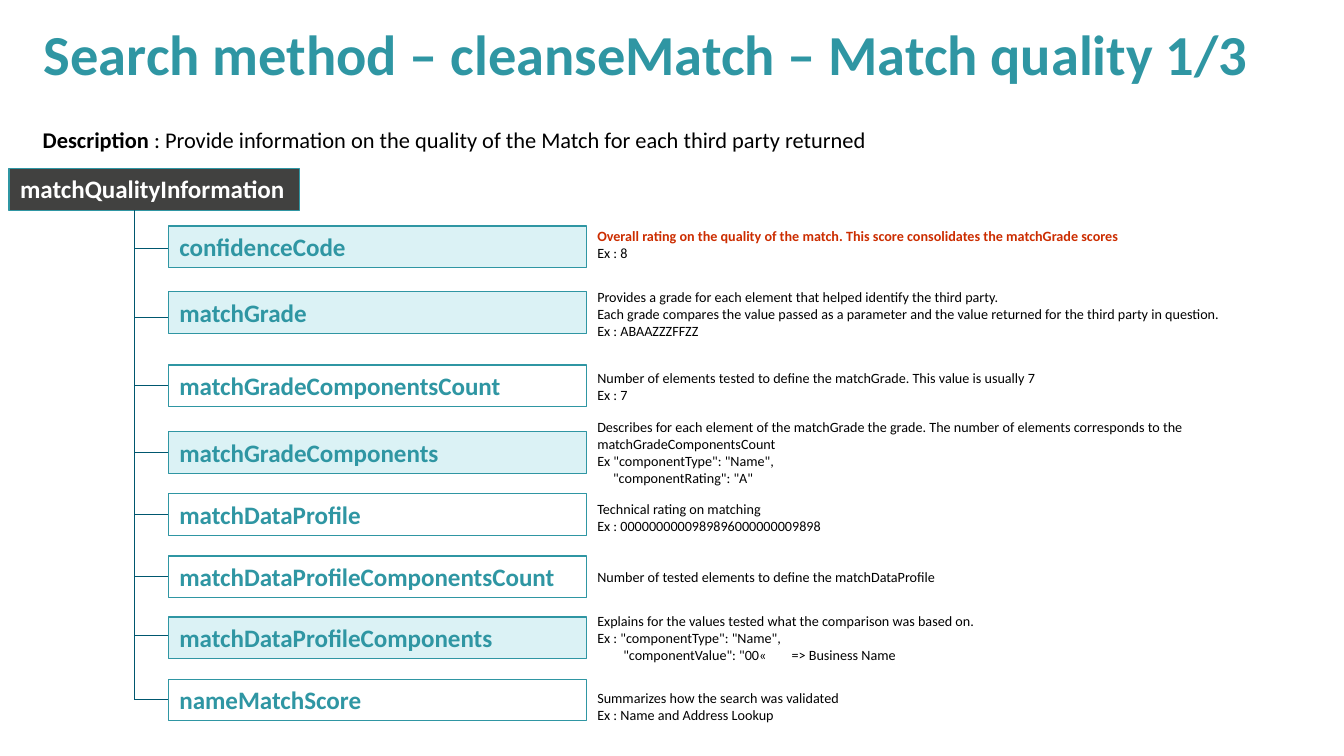
from lxml.etree import SubElement
from pptx import Presentation
from pptx.dml.color import RGBColor
from pptx.enum.shapes import MSO_CONNECTOR, MSO_SHAPE
from pptx.enum.text import MSO_ANCHOR, MSO_AUTO_SIZE, PP_ALIGN
from pptx.oxml.ns import qn
from pptx.util import Inches, Pt

COLORS = {"teal": "2F96A3", "pale": "DBF2F5", "white": "FFFFFF", "dark": "414140",
          "tree": "00576F", "red": "CC2D00", "black": "000000"}

TRUNK_X, BRANCH_END = 1.19, 2.84
FIELD_X, FIELD_WIDTH, FIELD_HEIGHT = 1.49, 3.7, 0.37
NOTE_X = FIELD_X + FIELD_WIDTH
NOTE_TABS = {"\t\"componentRating": [0.14], "\t\"componentValue": [0.23, 1.72]}

# name, fill, box top, branch height, note (top, width, height), note lines
FIELDS = [
    ("confidenceCode", "pale", 2, 2.2, (1.96, 6.4, 0.4),
     ["Overall rating on the quality of the match. This score consolidates the matchGrade scores",
      "Ex : 8"]),
    ("matchGrade", "pale", 2.58, 2.81, (2.5, 6.4, 0.56),
     ["Provides a grade for each element that helped identify the third party.",
      "Each grade compares the value passed as a parameter and the value returned "
      "for the third party in question.",
      "Ex : ABAAZZZFFZZ"]),
    ("matchGradeComponentsCount", "white", 3.23, 3.41, (3.22, 6.4, 0.4),
     ["Number of elements tested to define the matchGrade. This value is usually 7",
      "Ex : 7"]),
    ("matchGradeComponents", "pale", 3.82, 4, (3.65, 6.54, 0.71),
     ["Describes for each element of the matchGrade the grade. The number of elements "
      "corresponds to the matchGradeComponentsCount",
      "Ex \"componentType\": \"Name\",",
      "\t\"componentRating\": \"A\""]),
    ("matchDataProfile", "white", 4.37, 4.55, (4.38, 2.71, 0.4),
     ["Technical rating on matching",
      "Ex : 0000000000989896000000009898"]),
    ("matchDataProfileComponentsCount", "white", 4.92, 5.1, (4.98, 3.45, 0.25),
     ["Number of tested elements to define the matchDataProfile"]),
    ("matchDataProfileComponents", "pale", 5.46, 5.62, (5.37, 5.95, 0.56),
     ["Explains for the values tested what the comparison was based on.",
      "Ex : \"componentType\": \"Name\",",
      "\t\"componentValue\": \"00«\t=> Business Name"]),
    ("nameMatchScore", "white", 6.01, 6.19, (6.05, 3.45, 0.4),
     ["Summarizes how the search was validated",
      "Ex : Name and Address Lookup"]),
]


def color(name):
    return RGBColor.from_string(COLORS[name])


class SlideBuilder:
    """Holds the font and the slide being filled."""

    def __init__(self, slide, font="Calibri"):
        self.slide = slide
        self.font = font

    def style(self, span, size, ink, bold=False):
        span.font.name = self.font
        span.font.size = Pt(size)
        span.font.bold = bold
        span.font.color.rgb = color(ink)

    def text(self, left, top, width, height, lines, size, ink="black", bold=False, wrap=True):
        box = self.slide.shapes.add_textbox(
            Inches(left), Inches(top), Inches(width), Inches(height))
        frame = box.text_frame
        frame.word_wrap = wrap
        frame.text = "\n".join(lines)
        for para in frame.paragraphs:
            for span in para.runs:
                self.style(span, size, ink, bold)
        return frame

    def tabs(self, para, stops):
        tab_list = SubElement(para._p.get_or_add_pPr(), qn("a:tabLst"))
        for stop in stops:
            SubElement(tab_list, qn("a:tab"), pos=str(Inches(stop)), algn="l")

    def label(self, left, top, width, name, fill, ink, wrap=True):
        box = self.slide.shapes.add_shape(
            MSO_SHAPE.RECTANGLE, Inches(left), Inches(top), Inches(width), Inches(FIELD_HEIGHT))
        box.shadow.inherit = False
        box.fill.solid()
        box.fill.fore_color.rgb = color(fill)
        box.line.color.rgb = color("teal")
        box.line.width = Pt(0.75)
        frame = box.text_frame
        frame.word_wrap = wrap
        frame.vertical_anchor = MSO_ANCHOR.TOP
        frame.text = name
        para = frame.paragraphs[0]
        para.alignment = PP_ALIGN.LEFT
        self.style(para.runs[0], 16, ink, True)

    def line(self, x1, y1, x2, y2):
        connector = self.slide.shapes.add_connector(
            MSO_CONNECTOR.STRAIGHT, Inches(x1), Inches(y1), Inches(x2), Inches(y2))
        connector.line.color.rgb = color("tree")
        connector.line.width = Pt(0.5)
        SubElement(connector._element.spPr, qn("a:effectLst"))


def main():
    deck = Presentation()
    deck.slide_width, deck.slide_height = Inches(11.9), Inches(6.69)
    page = SlideBuilder(deck.slides.add_slide(deck.slide_layouts[6]))

    # Title and description
    title = page.text(0.29, 0.17, 11.44, 0.68,
                      ["Search method – cleanseMatch – Match quality 1/3"], 36, "teal", True)
    title.vertical_anchor = MSO_ANCHOR.MIDDLE
    title.paragraphs[0].line_spacing = 0.9
    description = page.text(0.28, 1.07, 7.57, 0.34, ["Description "], 14.3, bold=True, wrap=False)
    span = description.paragraphs[0].add_run()
    span.text = ": Provide information on the quality of the Match for each third party returned"
    page.style(span, 14.3, "black")

    # Root of the tree and its branches
    page.label(0.08, 1.49, 2.57, "matchQualityInformation", "dark", "white", wrap=False)
    page.line(TRUNK_X, 1.86, TRUNK_X, FIELDS[-1][3])
    for _, _, _, branch_y, _, _ in FIELDS:
        page.line(TRUNK_X, branch_y, BRANCH_END, branch_y)

    # Fields with their notes
    for name, fill, top, _, (note_top, note_width, note_height), lines in FIELDS:
        page.label(FIELD_X, top, FIELD_WIDTH, name, fill, "teal")
        note = page.text(NOTE_X, note_top, note_width, note_height, lines, 9)
        note.auto_size = MSO_AUTO_SIZE.SHAPE_TO_FIT_TEXT
        for para in note.paragraphs:
            for start, stops in NOTE_TABS.items():
                if para.text.startswith(start):
                    page.tabs(para, stops)
        if name == "confidenceCode":
            page.style(note.paragraphs[0].runs[0], 9, "red", True)

    deck.save("out.pptx")


if __name__ == "__main__":
    main()
